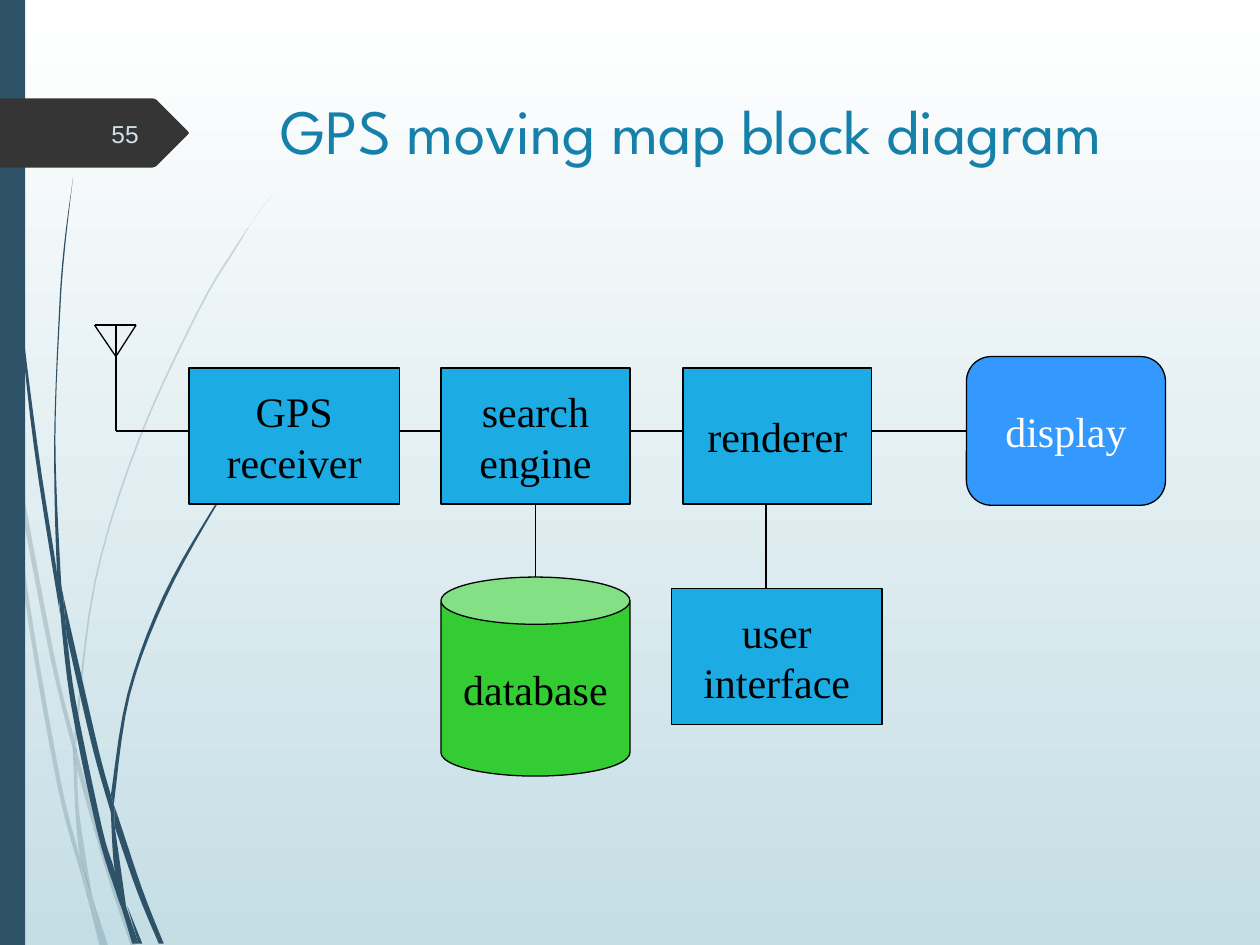
from itertools import pairwise

from pptx import Presentation
from pptx.dml.color import RGBColor
from pptx.enum import shapes, text
from pptx.oxml import parse_xml
from pptx.oxml.ns import nsdecls, qn
from pptx.util import Inches, Pt

COLORS = {
    "sky": "FFFFFF", "haze": "C5DEE5", "slate": "2E5369", "tag": "353535",
    "title": "1581AA", "number": "CFE2E7", "block": "1CACE3",
    "store": "33CC33", "screen": "3399FF", "ink": "000000", "white": "FFFFFF",
}
STEPS = 5  # straight pieces between two points of a curved edge

# Each blade of grass is two edges: one walks away, the other walks back.
PALE_BLADES = [
    ([(0.08, 3.5), (0.06, 3.22), (0, 2.82)], [(0, 2.99), (0.07, 3.44), (0.08, 3.5)]),
    ([(0.1, 3.45), (0.43, 5.2), (0.59, 5.86)],
     [(0.59, 5.99), (0.4, 5.22), (0.12, 3.76), (0.1, 3.55)]),
    ([(0.61, 5.96), (0.64, 6.07), (0.88, 6.92), (1.08, 7.51)],
     [(1.04, 7.51), (0.85, 6.94), (0.61, 6.1)]),
    ([(0.73, 7.11), (0.86, 7.51)], [(0.83, 7.51), (0.73, 7.11)]),
    ([(0.08, 3.5), (0.12, 3.76), (0.22, 4.69), (0.48, 6.19), (0.64, 6.83), (0.7, 7.14)],
     [(0.7, 7.14), (0.64, 6.93), (0.45, 6.21), (0.19, 4.7), (0.08, 3.5)]),
    ([(0.58, 5.99), (0.6, 6.46), (0.64, 6.83), (0.73, 7.11)],
     [(0.73, 7.11), (0.63, 6.46), (0.61, 6.1), (0.58, 5.99)]),
    ([(0.61, 5.96), (0.61, 5.84), (0.76, 4.62), (1.11, 3.49), (1.59, 2.45),
      (1.87, 1.98), (2.01, 1.75), (2.17, 1.53)],
     [(2.17, 1.53), (2.01, 1.75), (1.86, 1.97), (1.58, 2.44), (1.1, 3.48),
      (0.75, 4.61), (0.59, 5.84)]),
    ([(0.7, 7.14), (0.79, 7.51)], [(0.82, 7.51), (0.7, 7.14)]),
    ([(0.61, 6.08), (0.61, 5.96)], [(0.59, 5.86), (0.58, 5.99)]),
    ([(0.65, 6.83), (0.69, 7.07), (0.7, 7.14), (0.82, 7.51)],
     [(0.83, 7.51), (0.73, 7.11), (0.67, 6.92)]),
]
DARK_BLADES = [
    ([(0.02, 0), (0.03, 0.48), (0.05, 1.1), (0.14, 2.33), (0.27, 3.55),
      (0.46, 4.77), (0.47, 4.81)],
     [(0.47, 4.81), (0.45, 4.53), (0.3, 3.55), (0.15, 2.32), (0.06, 1.09),
      (0.04, 0.48), (0.03, 0)]),
    ([(0.5, 4.72), (0.77, 5.9), (0.88, 6.31)],
     [(0.88, 6.45), (0.73, 5.92), (0.53, 5.05)]),
    ([(0.91, 6.41), (0.94, 6.49), (1.13, 7.06), (1.3, 7.49)],
     [(1.26, 7.49), (1.09, 7.08), (0.91, 6.56)]),
    ([(0.47, 4.77), (0.53, 5.05), (0.6, 5.56), (0.81, 6.57), (0.91, 6.91), (0.97, 7.22)],
     [(0.97, 7.22), (0.92, 7.08), (0.77, 6.59), (0.56, 5.57), (0.47, 4.77)]),
    ([(0.5, 4.72), (0.48, 4.53), (0.44, 3.49), (0.48, 2.44), (0.52, 1.93), (0.58, 1.41)],
     [(0.58, 1.41), (0.51, 1.93), (0.47, 2.44), (0.43, 3.49), (0.45, 4.49), (0.49, 4.71)]),
    ([(1.01, 7.19), (1.1, 7.49)], [(1.13, 7.49), (1.01, 7.19)]),
    ([(0.45, 4.49), (0.47, 4.77), (0.53, 5.05)], [(0.5, 4.72), (0.45, 4.49)]),
    ([(0.91, 6.41), (0.91, 6.33), (1.03, 5.52), (1.31, 4.76), (1.69, 4.06),
      (1.91, 3.74), (2.03, 3.59), (2.16, 3.44)],
     [(2.15, 3.44), (2.03, 3.58), (1.91, 3.73), (1.68, 4.05), (1.29, 4.74),
      (1.01, 5.51), (0.88, 6.31)]),
    ([(0.97, 7.22), (1.05, 7.49)], [(1.08, 7.49), (0.97, 7.22)]),
    ([(0.88, 6.45), (0.91, 6.91), (1, 7.19)],
     [(1, 7.19), (0.91, 6.56), (0.88, 6.45)]),
    ([(0.88, 6.45), (0.91, 6.56)], [(0.91, 6.41), (0.88, 6.31)]),
    ([(0.91, 6.91), (0.97, 7.22), (1.08, 7.49)], [(1.1, 7.49), (1, 7.19), (0.91, 6.91)]),
]


def rgb(name):
    return RGBColor.from_string(COLORS[name])


def smooth(points):
    """Return points on a Catmull-Rom curve through the given ones."""
    padded = [points[0], *points, points[-1]]
    curve = [points[0]]
    for i, (start, end) in enumerate(pairwise(points)):
        before, after = padded[i], padded[i + 3]
        for t in (step / STEPS for step in range(1, STEPS + 1)):
            curve.append(tuple(
                (2 * b + (c - a) * t + (2 * a - 5 * b + 4 * c - d) * t**2
                 + (3 * b - a - 3 * c + d) * t**3) / 2
                for a, b, c, d in zip(before, start, end, after)))
    return curve


def write(frame, words, *, size, font, color, align="LEFT", anchor="TOP", wrap=True):
    """Fill a text frame, one paragraph for each line of words."""
    frame.word_wrap = wrap
    frame.vertical_anchor = text.MSO_ANCHOR[anchor]
    frame.text = words
    for paragraph in frame.paragraphs:
        paragraph.alignment = text.PP_ALIGN[align]
        paragraph.font.size = Pt(size)
        paragraph.font.name = font
        paragraph.font.color.rgb = rgb(color)


class Sketch:
    """The slide being drawn and the style its elements share."""

    font, size, line_width = "Times New Roman", 24, 0.75

    def __init__(self, slide):
        self.slide = slide

    def backdrop(self, top, bottom):
        fill = self.slide.background.fill
        fill.gradient()
        fill.gradient_angle = 270
        for stop, color, position in zip(fill.gradient_stops, (top, bottom), (0, 1)):
            stop.color.rgb, stop.position = rgb(color), position

    def paint(self, shape, fill, outlined=False, alpha=None):
        shape.shadow.inherit = False
        shape.fill.solid()
        shape.fill.fore_color.rgb = rgb(fill)
        if alpha:
            tint = shape.fill._xPr.find(qn("a:solidFill"))[0]
            tint.append(parse_xml(f'<a:alpha {nsdecls("a")} val="{alpha * 1000}"/>'))
        if outlined:
            shape.line.color.rgb = rgb("ink")
            shape.line.width = Pt(self.line_width)
        else:
            shape.line.fill.background()

    def outline(self, points, fill, alpha=None):
        start, *rest = [(Inches(x), Inches(y)) for x, y in points]
        builder = self.slide.shapes.build_freeform(*start)
        builder.add_line_segments(rest)
        self.paint(builder.convert_to_shape(), fill, alpha=alpha)

    def block(self, kind, box, fill, words=None, color="ink"):
        shape = self.slide.shapes.add_shape(
            shapes.MSO_SHAPE[kind], *map(Inches, box))
        self.paint(shape, fill, outlined=words is not None)
        if words:
            write(shape.text_frame, words, size=self.size, font=self.font,
                  color=color, align="CENTER", anchor="MIDDLE", wrap=False)
        return shape

    def label(self, box, words, **style):
        frame = self.slide.shapes.add_textbox(*map(Inches, box)).text_frame
        write(frame, words, **style)

    def wire(self, start, end):
        line = self.slide.shapes.add_connector(
            shapes.MSO_CONNECTOR.STRAIGHT, *map(Inches, (*start, *end)))
        line.line.color.rgb = rgb("ink")
        line.line.width = Pt(self.line_width)
        line._element.spPr.append(parse_xml(f'<a:effectLst {nsdecls("a")}/>'))
        return line


def main():
    deck = Presentation()
    deck.slide_width, deck.slide_height = Inches(10), Inches(7.5)
    sketch = Sketch(deck.slides.add_slide(deck.slide_layouts[6]))

    sketch.backdrop("sky", "haze")
    for blades, alpha in ((PALE_BLADES, 20), (DARK_BLADES, None)):
        for away, back in blades:
            sketch.outline(smooth(away) + smooth(back), "slate", alpha)
    sketch.block("RECTANGLE", (0, 0, 0.2, 7.5), "slate")
    sketch.outline([(0, 0.78), (1.21, 0.78), (1.24, 0.79), (1.49, 1.04), (1.5, 1.055),
                    (1.49, 1.07), (1.24, 1.32), (1.21, 1.33), (0, 1.33)], "tag")
    sketch.label((2.13, 0.68, 7.21, 1.4), "GPS moving map block diagram",
                 size=36, font="League Spartan", color="title")
    sketch.label((0.56, 0.86, 0.64, 0.4), "55", size=14, font="Arial",
                 color="number", align="RIGHT", anchor="MIDDLE")

    display = sketch.block("ROUNDED_RECTANGLE", (7.67, 2.83, 1.58, 1.18),
                           "screen", "display", "white")
    signal = sketch.wire((0.92, 3.42), (7.67, 3.42))
    signal.end_connect(display, 1)

    sketch.block("RECTANGLE", (1.5, 2.92, 1.67, 1.08), "block", "GPS\nreceiver")
    search = sketch.block("RECTANGLE", (3.5, 2.92, 1.5, 1.08), "block", "search\nengine")
    sketch.block("RECTANGLE", (5.42, 2.92, 1.5, 1.08), "block", "renderer")
    sketch.block("RECTANGLE", (5.33, 4.67, 1.67, 1.08), "block", "user\ninterface")
    sketch.block("CAN", (3.5, 4.58, 1.5, 1.58), "store", "database")

    mast, left, right = (0.92, 2.83), (0.75, 2.58), (1.08, 2.58)
    sketch.wire((0.92, 2.58), (0.92, 3.42))
    for start, end in ((left, right), (left, mast), (mast, right)):
        sketch.wire(start, end)
    sketch.wire((6.08, 4), (6.08, 4.67))
    sketch.wire((4.25, 4.58), (4.25, 4)).end_connect(search, 2)

    deck.save("out.pptx")


if __name__ == "__main__":
    main()
